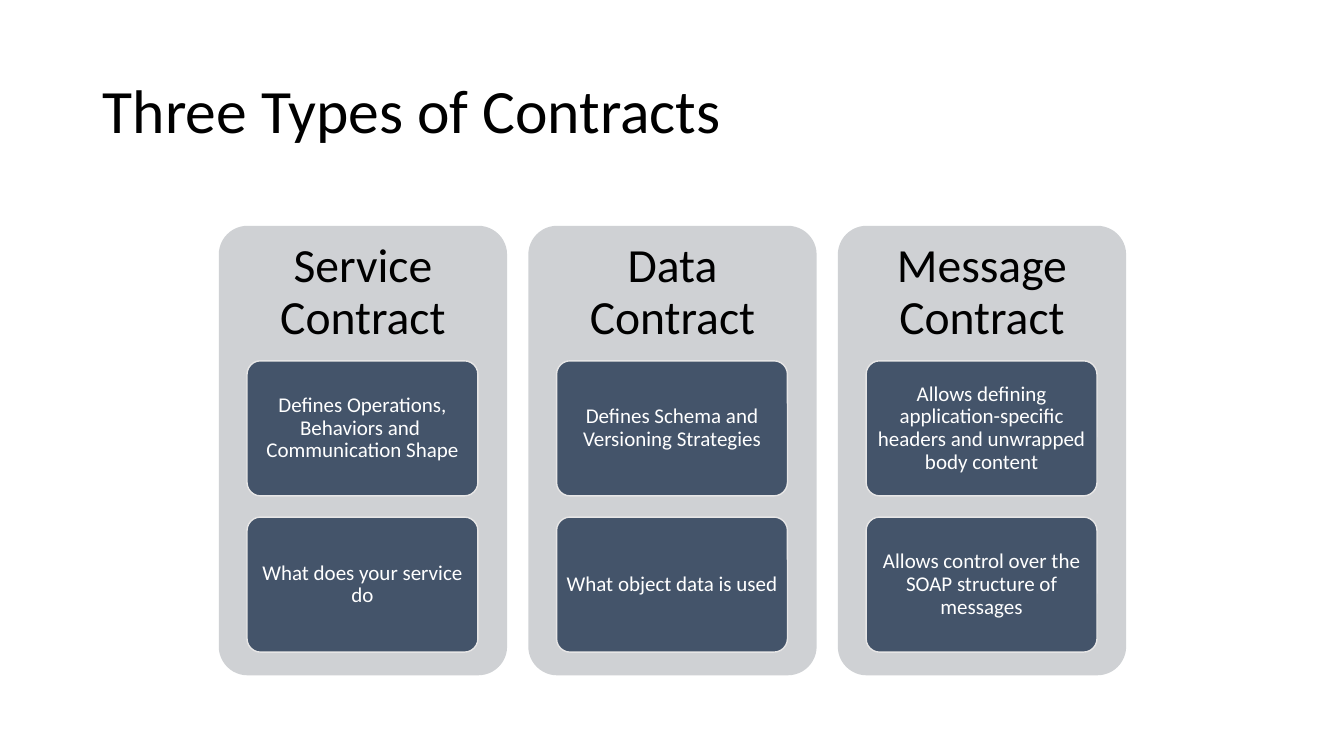
"""Build the slide on the three types of contracts."""
from pptx import Presentation
from pptx.dml.color import RGBColor
from pptx.enum.shapes import MSO_SHAPE
from pptx.enum.text import MSO_ANCHOR, PP_ALIGN
from pptx.util import Inches, Pt

ROUNDED = MSO_SHAPE.ROUNDED_RECTANGLE
MIDDLE = MSO_ANCHOR.MIDDLE
LEFT, CENTER = PP_ALIGN.LEFT, PP_ALIGN.CENTER

BLACK = RGBColor(0x00, 0x00, 0x00)
WHITE = RGBColor(0xFF, 0xFF, 0xFF)
PANEL_GRAY = RGBColor(0xCF, 0xD1, 0xD4)
TILE_BLUE = RGBColor(0x44, 0x54, 0x6A)
TILE_EDGE = RGBColor(0xE7, 0xE6, 0xE6)

CONTRACTS = [
    ("Service Contract",
     ["Defines Operations, Behaviors and \vCommunication Shape",
      "What does your service do"]),
    ("Data Contract",
     ["Defines Schema and Versioning Strategies",
      "What object data is used"]),
    ("Message Contract",
     ["Allows defining application-specific headers and unwrapped body content",
      "Allows control over the SOAP structure of messages"]),
]

PANEL_LEFT, PANEL_TOP, PANEL_STEP = 2.17, 2.24, 3.07
PANEL_WIDTH, PANEL_HEIGHT = 2.86, 4.46
TILE_INDENT, TILE_TOP, TILE_STEP = 0.28, 3.58, 1.55
TILE_WIDTH, TILE_HEIGHT = 2.29, 1.34


class SlideBuilder:
    """Hold the text style and the current slide."""

    def __init__(self, prs, font="Calibri"):
        self.font = font
        self.s = prs.slides.add_slide(prs.slide_layouts[5])

    def set_text(self, tf, text, size, color, align):
        tf.word_wrap = True
        tf.vertical_anchor = MIDDLE
        tf.text = text
        p = tf.paragraphs[0]
        p.alignment = align
        p.line_spacing = 0.9
        for r in p.runs:
            r.font.name = self.font
            r.font.size = Pt(size)
            r.font.color.rgb = color

    def title(self, text):
        sp = self.s.shapes.title
        sp.left, sp.top = Inches(0.92), Inches(0.4)
        sp.width, sp.height = Inches(11.5), Inches(1.45)
        self.set_text(sp.text_frame, text, 44, BLACK, LEFT)

    def box(self, x, y, w, h, fill, insets):
        sp = self.s.shapes.add_shape(
            ROUNDED, Inches(x), Inches(y), Inches(w), Inches(h))
        sp.adjustments[0] = 0.1
        sp.shadow.inherit = False
        sp.fill.solid()
        sp.fill.fore_color.rgb = fill
        tf = sp.text_frame
        (tf.margin_left, tf.margin_top,
         tf.margin_right, tf.margin_bottom) = map(Inches, insets)
        return sp

    def panel(self, x, heading):
        sp = self.box(x, PANEL_TOP, PANEL_WIDTH, PANEL_HEIGHT, PANEL_GRAY,
                      (0.06, 0.06, 0.06, 3.18))
        sp.line.fill.background()
        self.set_text(sp.text_frame, heading, 34, BLACK, CENTER)

    def tile(self, x, y, text):
        sp = self.box(x, y, TILE_WIDTH, TILE_HEIGHT, TILE_BLUE,
                      (0.04, 0.03, 0.04, 0.03))
        sp.line.color.rgb = TILE_EDGE
        sp.line.width = Pt(1)
        self.set_text(sp.text_frame, text, 15, WHITE, CENTER)


def main():
    prs = Presentation()
    prs.slide_width, prs.slide_height = Inches(13.33), Inches(7.5)
    slide = SlideBuilder(prs)
    slide.title("Three Types of Contracts")
    for col, (heading, details) in enumerate(CONTRACTS):
        x = PANEL_LEFT + col * PANEL_STEP
        slide.panel(x, heading)
        for row, detail in enumerate(details):
            slide.tile(x + TILE_INDENT, TILE_TOP + row * TILE_STEP, detail)
    prs.save("out.pptx")


if __name__ == "__main__":
    main()
